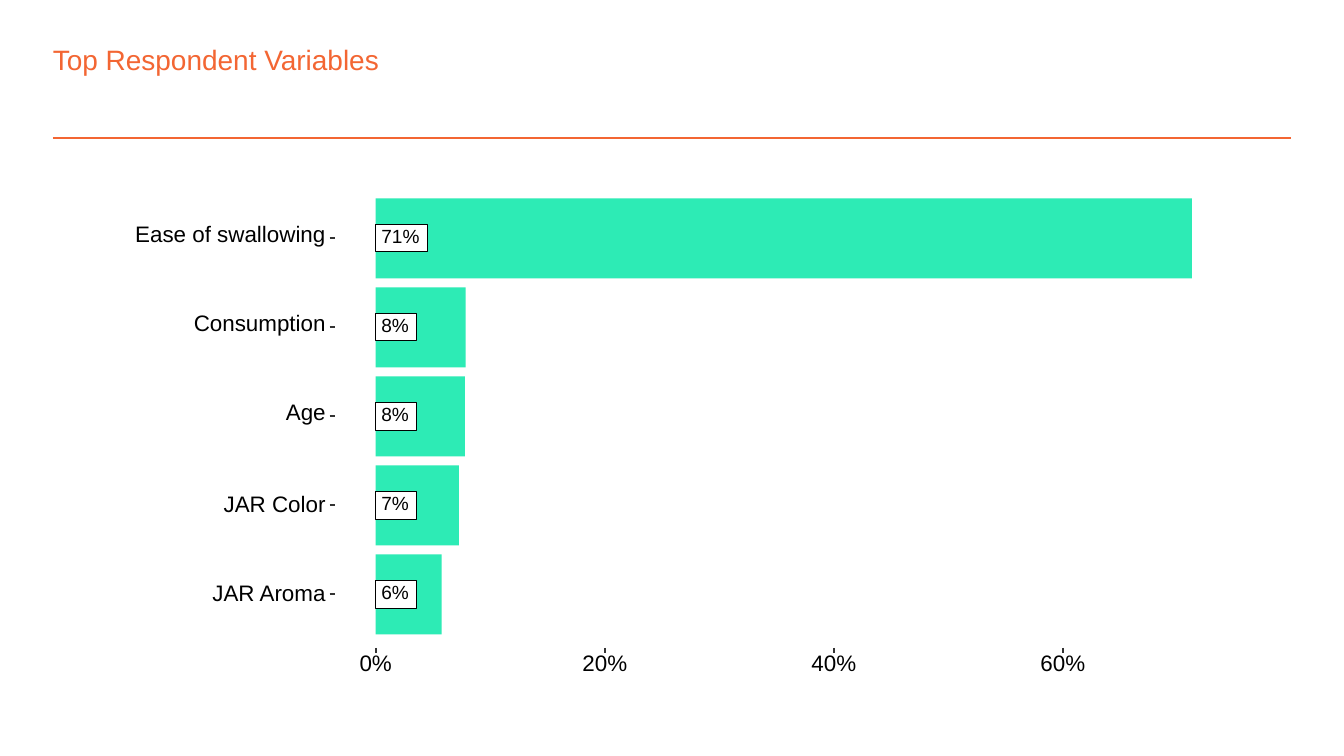
from lxml import etree
from pptx import Presentation
from pptx.dml.color import RGBColor
from pptx.enum.shapes import MSO_CONNECTOR, MSO_SHAPE
from pptx.enum.text import MSO_ANCHOR, PP_ALIGN
from pptx.oxml.ns import qn
from pptx.util import Pt

RECTANGLE = MSO_SHAPE.RECTANGLE
STRAIGHT = MSO_CONNECTOR.STRAIGHT
TOP, MIDDLE = MSO_ANCHOR.TOP, MSO_ANCHOR.MIDDLE
LEFT, CENTER, RIGHT = PP_ALIGN.LEFT, PP_ALIGN.CENTER, PP_ALIGN.RIGHT

COLORS = {
    "accent": "F36633",
    "bar": "2DEBB5",
    "panel": "FFFFFF",
    "text": "000000",
    "tick": "333333",
}

# Variable, share in percent, badge text, label width
VARIABLES = [
    ("Ease of swallowing", 71.28, "71%", 105),
    ("Consumption", 7.86, "8%", 74),
    ("Age", 7.8, "8%", 24),
    ("JAR Color", 7.27, "7%", 58),
    ("JAR Aroma", 5.76, "6%", 64),
]

ZERO_X = 201.3
POINTS_PER_PERCENT = 6.135
FIRST_ROW_Y = 127.7
ROW_PITCH = 47.7
BAR_HEIGHT = 0.9 * ROW_PITCH
LABEL_RIGHT = 174.5
ROW_TICK_X = 176.6
AXIS_TICK_Y = 347.1
TICK_LENGTH = 2.8


class SlideBuilder:
    def __init__(self, slide, font="Arial"):
        self.slide = slide
        self.font = font

    def color(self, name):
        return RGBColor.from_string(COLORS[name])

    def rect(self, x, y, width, height, fill, line=None, weight=1):
        shape = self.slide.shapes.add_shape(
            RECTANGLE, Pt(x), Pt(y), Pt(width), Pt(height))
        shape.shadow.inherit = False
        shape.fill.solid()
        shape.fill.fore_color.rgb = self.color(fill)
        if line:
            shape.line.color.rgb = self.color(line)
            shape.line.width = Pt(weight)
        else:
            shape.line.fill.background()

    def line(self, x1, y1, x2, y2, color, weight):
        connector = self.slide.shapes.add_connector(
            STRAIGHT, Pt(x1), Pt(y1), Pt(x2), Pt(y2))
        connector.line.color.rgb = self.color(color)
        connector.line.width = Pt(weight)
        properties = connector._element.spPr
        etree.SubElement(properties, qn("a:effectLst"))

    def text(self, content, x, y, width, height, size, color="text",
             anchor=MIDDLE, align=LEFT, wrap=False, spacing=None):
        box = self.slide.shapes.add_textbox(
            Pt(x), Pt(y), Pt(width), Pt(height))
        frame = box.text_frame
        frame.margin_left = frame.margin_right = 0
        frame.margin_top = frame.margin_bottom = 0
        frame.word_wrap = wrap
        frame.vertical_anchor = anchor
        paragraph = frame.paragraphs[0]
        paragraph.alignment = align
        if spacing:
            paragraph.line_spacing = Pt(spacing)
        run = paragraph.add_run()
        run.text = content
        run.font.name = self.font
        run.font.size = Pt(size)
        run.font.color.rgb = self.color(color)


def main():
    presentation = Presentation()
    presentation.slide_width, presentation.slide_height = Pt(720), Pt(405)
    builder = SlideBuilder(
        presentation.slides.add_slide(presentation.slide_layouts[6]))

    # Header
    builder.line(28.3, 74, 691.7, 74, "accent", 1)
    builder.text("Top Respondent Variables", 28.3, 23, 597, 18, 15,
                 color="accent", anchor=TOP, wrap=True)

    # Plot panel
    builder.rect(54, 93.6, 612, 288, "panel", "panel", 1.07)

    # One bar, value badge, label and tick per variable
    for row, (variable, share, badge, label_width) in enumerate(VARIABLES):
        center = FIRST_ROW_Y + row * ROW_PITCH
        builder.rect(ZERO_X, center - BAR_HEIGHT / 2,
                     share * POINTS_PER_PERCENT, BAR_HEIGHT, "bar")

        badge_width = 27.6 if len(badge) == 3 else 22
        builder.rect(ZERO_X, center - 7.3, badge_width, 14.6,
                     "panel", "text", 0.53)
        builder.text(badge, ZERO_X + 3, center - 4.2, badge_width - 5, 8,
                     10.2, spacing=10.2)

        # Labels with descenders are taller and sit slightly higher
        has_descender = any(letter in variable for letter in "gp")
        label_height, lift = (11, 1.4) if has_descender else (8.8, 0)
        builder.text(variable, LABEL_RIGHT - label_width,
                     center - label_height / 2 - lift,
                     label_width, label_height, 12, align=RIGHT, spacing=12)
        builder.line(ROW_TICK_X, center, ROW_TICK_X + TICK_LENGTH, center,
                     "tick", 1.07)

    # Percent axis
    for percent in range(0, 61, 20):
        x = ZERO_X + percent * POINTS_PER_PERCENT
        builder.line(x, AXIS_TICK_Y, x, AXIS_TICK_Y + TICK_LENGTH,
                     "tick", 1.07)
        width = 27 if percent else 20
        builder.text(f"{percent}%", x - width / 2, 351.3, width, 9.4, 12,
                     align=CENTER, spacing=12)

    presentation.save("out.pptx")


if __name__ == "__main__":
    main()
